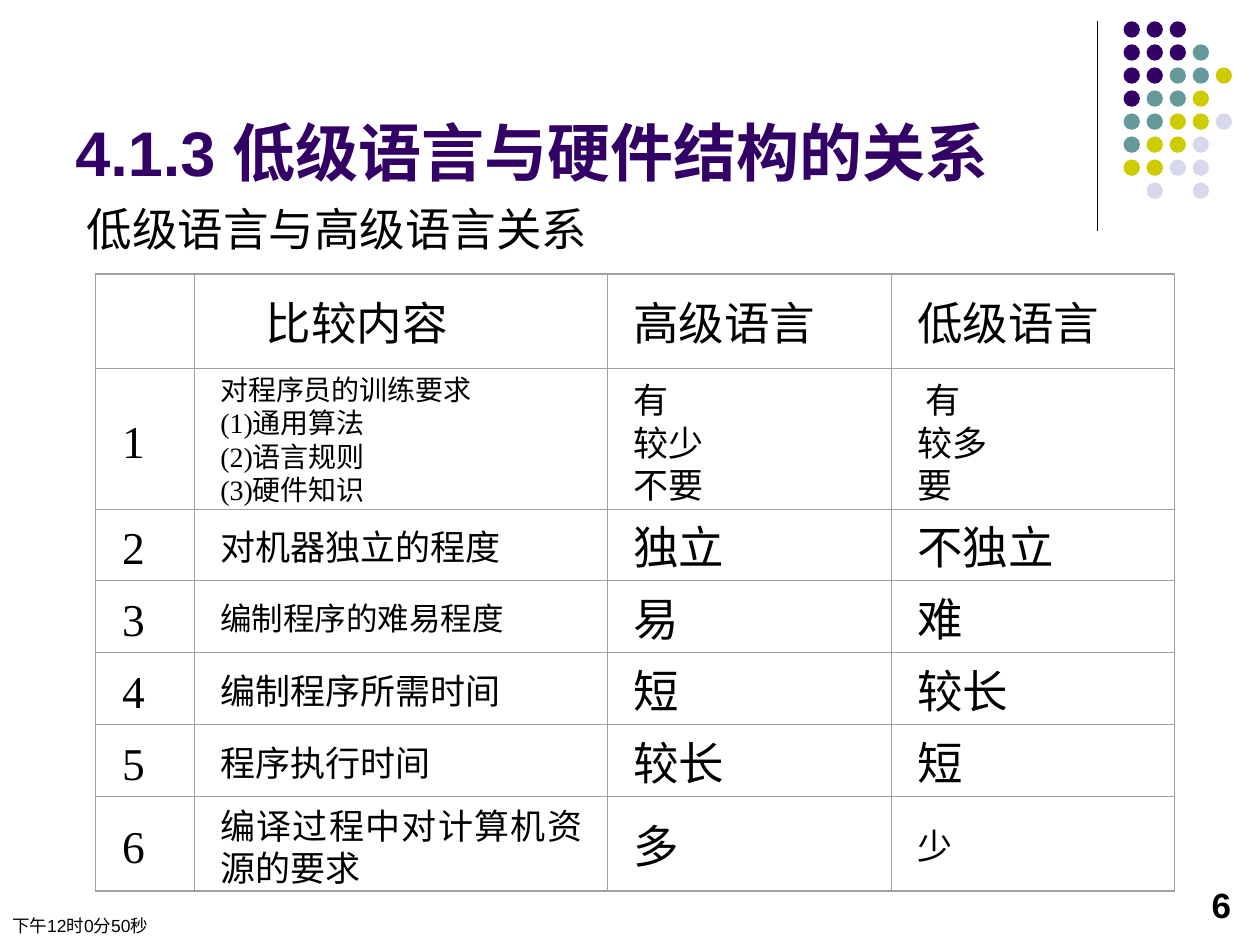
import pptx
import pptx.dml.color
import pptx.enum.shapes
import pptx.enum.text
import pptx.oxml
import pptx.oxml.ns
import pptx.util
from dataclasses import dataclass

Cm = pptx.util.Cm
Align = pptx.enum.text.PP_ALIGN
Anchor = pptx.enum.text.MSO_ANCHOR


@dataclass(frozen=True)
class Theme:
    purple: str = "330066"
    teal: str = "669999"
    olive: str = "CCCC00"
    lavender: str = "D8D8EC"
    ink: str = "000000"
    grid: str = "A0A0A0"
    heading_font: str = "Arial"
    table_font: str = "Times New Roman"
    title: int = 36
    large: int = 26
    medium: int = 20
    compact: int = 18
    small: int = 16
    footer: int = 10
    outer_line: float = 1
    inner_line: float = 0.5
    tight_spacing: float = 0.83


THEME = Theme()


@dataclass(frozen=True)
class Label:
    text: str
    left: float
    top: float
    width: float
    height: float
    size: int
    color: str = THEME.ink
    bold: bool = False
    align: Align = Align.LEFT
    anchor: Anchor = Anchor.TOP


@dataclass(frozen=True)
class Entry:
    text: str
    size: int = THEME.large
    left_margin: float = 0.53
    top_margin: float = 0
    spacing: float = 1.0


@dataclass(frozen=True)
class Row:
    height: float
    entries: tuple[Entry, ...]


def rgb(color: str) -> pptx.dml.color.RGBColor:
    return pptx.dml.color.RGBColor.from_string(color)


def style_text(frame, font: str, size: int, color: str, bold: bool, align: Align,
               spacing: float = 1.0) -> None:
    for para in frame.paragraphs:
        para.alignment = align
        para.line_spacing = spacing
        for span in para.runs:
            span.font.name = font
            span.font.size = pptx.util.Pt(size)
            span.font.bold = bold
            span.font.color.rgb = rgb(color)


def draw_label(page, label: Label) -> None:
    box = page.shapes.add_textbox(
        Cm(label.left), Cm(label.top), Cm(label.width), Cm(label.height))
    frame = box.text_frame
    frame.word_wrap = True
    frame.vertical_anchor = label.anchor
    frame.text = label.text
    style_text(frame, THEME.heading_font, label.size, label.color, label.bold, label.align)


def draw_dots(page, pattern: tuple[str, ...], left: float, top: float, height: float) -> None:
    colors = {"P": THEME.purple, "T": THEME.teal, "O": THEME.olive, "L": THEME.lavender}
    pitch, diameter = height / (len(pattern) - 1), 0.33
    for row, line in enumerate(pattern):
        for column, code in enumerate(line):
            if code not in colors:
                continue
            dot = page.shapes.add_shape(
                pptx.enum.shapes.MSO_SHAPE.OVAL,
                Cm(left + column * pitch), Cm(top + row * pitch), Cm(diameter), Cm(diameter))
            dot.shadow.inherit = False
            dot.fill.solid()
            dot.fill.fore_color.rgb = rgb(colors[code])
            dot.line.fill.background()


def draw_divider(page, x: float, top: float, bottom: float) -> None:
    line = page.shapes.add_connector(
        pptx.enum.shapes.MSO_CONNECTOR.STRAIGHT, Cm(x), Cm(top), Cm(x), Cm(bottom))
    line.line.color.rgb = rgb(THEME.ink)
    line.line.width = pptx.util.Pt(0.75)
    line._element.spPr.append(pptx.oxml.parse_xml(
        f"<a:effectLst {pptx.oxml.ns.nsdecls('a')}/>"))


def draw_borders(cell, outer: dict[str, bool]) -> None:
    properties = cell._tc.get_or_add_tcPr()
    for index, (side, is_outer) in enumerate(outer.items()):
        width = pptx.util.Pt(THEME.outer_line if is_outer else THEME.inner_line)
        properties.insert(index, pptx.oxml.parse_xml(
            f'<a:ln{side} {pptx.oxml.ns.nsdecls("a")} w="{int(width)}"><a:solidFill>'
            f'<a:srgbClr val="{THEME.grid}"/></a:solidFill></a:ln{side}>'))


def draw_table(page, rows: tuple[Row, ...], widths: tuple[float, ...],
               left: float, top: float) -> None:
    table = page.shapes.add_table(
        len(rows), len(widths), Cm(left), Cm(top),
        Cm(sum(widths)), Cm(sum(row.height for row in rows))).table
    table.first_row = table.horz_banding = False
    for column, width in zip(table.columns, widths):
        column.width = Cm(width)
    for r, row in enumerate(rows):
        table.rows[r].height = Cm(row.height)
        for c, entry in enumerate(row.entries):
            cell = table.cell(r, c)
            cell.fill.background()
            cell.margin_left, cell.margin_right = Cm(entry.left_margin), Cm(0.5)
            cell.margin_top, cell.margin_bottom = Cm(entry.top_margin), Cm(0)
            cell.vertical_anchor = Anchor.MIDDLE
            cell.text_frame.text = entry.text
            style_text(cell.text_frame, THEME.table_font, entry.size, THEME.ink,
                       False, Align.JUSTIFY, entry.spacing)
            draw_borders(cell, {"L": c == 0, "R": c == len(widths) - 1,
                                "T": r == 0, "B": r == len(rows) - 1})


def numbered(number: int, height: float, *entries: Entry) -> Row:
    return Row(height, (Entry(str(number), top_margin=0.18), *entries))


def multiline(text: str, size: int, top_margin: float) -> Entry:
    return Entry(text, size, top_margin=top_margin, spacing=THEME.tight_spacing)


deck = pptx.Presentation()
deck.slide_width, deck.slide_height = Cm(25.4), Cm(19.05)
page = deck.slides.add_slide(deck.slide_layouts[6])

# Corner decoration
draw_divider(page, 22.12, 0.43, 4.65)
draw_dots(page, ("PPP", "PPPT", "PPTTO", "PTTO", "TTOOL", "TOOL", "OOLL", " L L"),
          22.65, 0.43, 3.25)

# Headings, page number and time
for label in (
    Label("4.1.3 低级语言与硬件结构的关系", 1.27, 0.61, 20.96, 3.33, THEME.title,
          THEME.purple, bold=True, anchor=Anchor.BOTTOM),
    Label("低级语言与高级语言关系", 1.5, 3.92, 11.3, 1.4, THEME.large),
    Label("6", 23.11, 17.68, 1.96, 1.27, THEME.medium, bold=True, align=Align.RIGHT),
    Label("下午12时0分50秒", 0, 18.32, 5.92, 0.66, THEME.footer),
):
    draw_label(page, label)

# Comparison table
medium = THEME.medium
rows = (
    Row(1.9, (Entry(""), Entry("比较内容", left_margin=1.45),
              Entry("高级语言"), Entry("低级语言"))),
    numbered(1, 2.84,
             multiline("对程序员的训练要求\n(1)通用算法\n(2)语言规则\n(3)硬件知识",
                       THEME.small, 0.08),
             multiline("有\n较少\n不要", medium, 0.2),
             multiline("\u00a0有\n较多\n要", medium, 0.2)),
    numbered(2, 1.45, Entry("对机器独立的程度", medium), Entry("独立"), Entry("不独立")),
    numbered(3, 1.45, Entry("编制程序的难易程度", THEME.compact), Entry("易"), Entry("难")),
    numbered(4, 1.45, Entry("编制程序所需时间", medium), Entry("短"), Entry("较长")),
    numbered(5, 1.45, Entry("程序执行时间", medium), Entry("较长"), Entry("短")),
    numbered(6, 1.9, multiline("编译过程中对计算机资源的要求", medium, 0.15),
             Entry("多"), Entry("少", medium)),
)
draw_table(page, rows, (1.98, 8.33, 5.72, 5.72), 1.93, 5.52)

deck.save("out.pptx")
